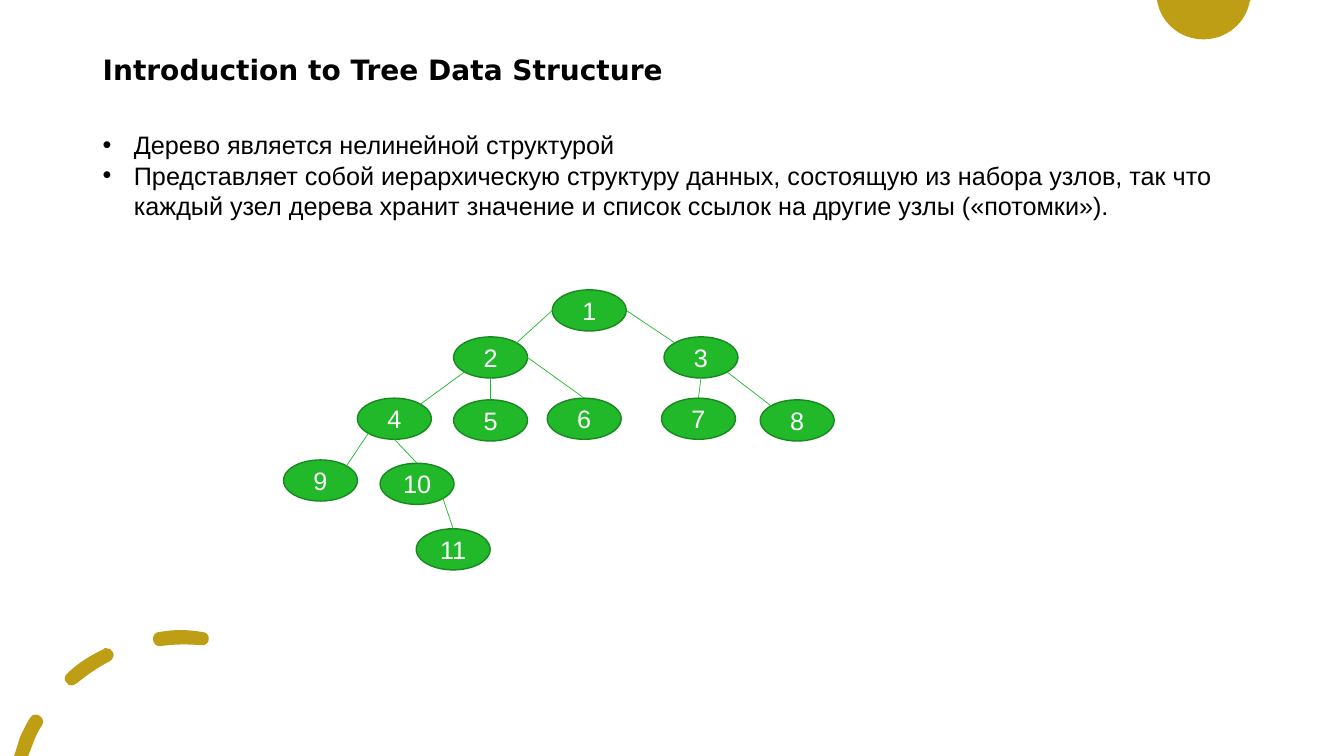
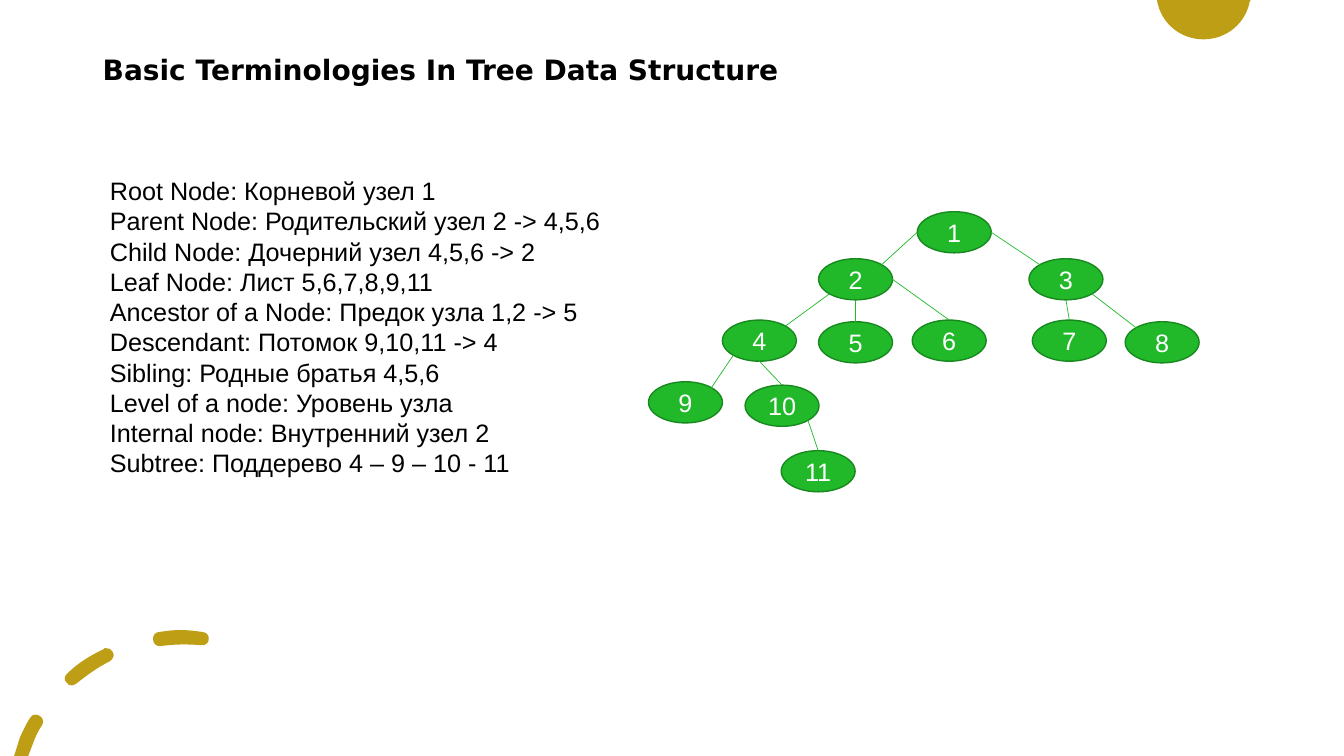
from dataclasses import dataclass

from lxml import etree
from pptx import Presentation, util as u
from pptx.dml.color import RGBColor
from pptx.enum import shapes, text
from pptx.oxml.ns import qn

# Slide grid: square cells, 160 columns by 90 rows
WIDTH, HEIGHT = u.Inches(40 / 3), u.Inches(7.5)
CELL = WIDTH / 160

GOLD, GREEN, DARK_GREEN = "BE9E15", "21B92A", "18891F"
BLACK, WHITE = "000000", "FFFFFF"

TITLE_FONT = {"name": "DejaVu Sans", "size": u.Pt(20), "bold": True}
BODY_FONT = {"name": "Arial", "size": u.Pt(18)}


@dataclass
class Box:
    left: float
    top: float
    width: float
    height: float

    def point(self, across, down):
        """Grid point at the given shares of the box."""
        return self.left + across * self.width, self.top + down * self.height

    def emu(self):
        return [cells(v) for v in (self.left, self.top, self.width, self.height)]


TITLE_BOX = Box(11.04, 4.8, 136.7, 7.3)
CIRCLE_BOX = Box(137.76, 0, 11.16, 4.68)
DASHES_BOX = Box(1.68, 75, 23.28, 15)

# Outlines on a field of width and height: a start, then lines (1 point) and curves (3 points)
CIRCLE_FIELD = (93, 39)
CIRCLE = [
    ((0, 0), [
        [(93, 0)], [(92, 1)],
        [(88, 23), (69, 39), (46, 39)], [(23, 39), (4, 23), (0, 1)]]),
]
DASH_FIELD = (194, 125)
DASHES = [
    ((22, 84), [
        [(20, 83), (17, 85), (16, 87)], [(12, 93), (9, 100), (6, 106)],
        [(0, 125)], [(14, 125)], [(19, 112)],
        [(21, 106), (24, 100), (28, 94)], [(30, 91), (28, 86), (25, 85)],
        [(24, 84), (23, 84), (22, 84)]]),
    ((91, 18), [
        [(90, 18), (89, 18), (89, 19)], [(76, 25), (63, 33), (53, 43)],
        [(50, 45), (49, 50), (52, 52)], [(53, 54), (55, 55), (57, 55)],
        [(57, 55)],
        [(59, 55), (60, 54), (62, 53)], [(72, 45), (83, 37), (95, 31)],
        [(98, 29), (100, 25), (98, 22)], [(97, 19), (94, 18), (91, 18)]]),
    ((165, 0), [
        [(158, 0), (151, 1), (144, 2)], [(140, 2), (137, 6), (138, 10)],
        [(138, 13), (141, 16), (144, 16)], [(145, 16), (145, 16), (145, 16)],
        [(159, 14), (172, 14), (185, 15)], [(189, 16), (193, 13), (193, 10)],
        [(194, 6), (191, 2), (187, 2)], [(187, 2), (187, 2), (187, 2)],
        [(180, 1), (172, 0), (165, 0)]]),
]

# Tree: node offsets in cells, and edges as parent, side, child, side
NODE_SIZE = (8.8, 4.9)
NODES = {
    1: (32, 0), 3: (45.3, 5.6), 2: (20.25, 5.6), 4: (8.8, 12.9),
    5: (20.25, 13.1), 8: (56.75, 13.1), 7: (45, 12.9), 6: (31.4, 12.9),
    9: (0, 20.25), 10: (11.5, 20.65), 11: (15.8, 28.45),
}
EDGES = [
    (2, "NE", 1, "W"), (4, "NE", 2, "SW"), (9, "NE", 4, "SW"),
    (3, "NW", 1, "E"), (8, "NW", 3, "SE"), (7, "N", 3, "S"),
    (5, "N", 2, "S"), (2, "E", 6, "N"), (4, "S", 10, "N"),
    (10, "SE", 11, "N"),
]
NEAR, FAR = 0.15, 0.85
SIDES = {
    "N": (0.5, 0), "S": (0.5, 1), "W": (0, 0.5), "E": (1, 0.5),
    "NW": (NEAR, NEAR), "NE": (FAR, NEAR), "SW": (NEAR, FAR), "SE": (FAR, FAR),
}

INTRO = [
    "Дерево является нелинейной структурой",
    "Представляет собой иерархическую структуру данных, состоящую из набора узлов, "
    "так что каждый узел дерева хранит значение и список ссылок на другие узлы («потомки»).",
]
TERMS = [
    "Root Node: Корневой узел 1",
    "Parent Node: Родительский узел 2 -> 4,5,6",
    "Child Node: Дочерний узел 4,5,6 -> 2",
    "Leaf Node: Лист 5,6,7,8,9,11",
    "Ancestor of a Node: Предок узла 1,2 -> 5",
    "Descendant: Потомок 9,10,11 -> 4",
    "Sibling: Родные братья 4,5,6",
    "Level of a node: Уровень узла",
    "Internal node: Внутренний узел 2",
    "Subtree: Поддерево 4 – 9 – 10 - 11",
]


def cells(count):
    return u.Emu(round(count * CELL))


def rgb(code):
    return RGBColor.from_string(code)


def assign(target, values):
    for name, value in values.items():
        setattr(target, name, value)


def add_bullet(para):
    props = para._p.get_or_add_pPr()
    props.set("marL", str(u.Inches(0.31)))
    props.set("indent", str(-u.Inches(0.31)))
    etree.SubElement(props, qn("a:buFont")).set("typeface", BODY_FONT["name"])
    etree.SubElement(props, qn("a:buChar")).set("char", "•")


def write(frame, lines, font, color, frame_format, para_format=None, bullets=False):
    assign(frame, {"word_wrap": True, **frame_format})
    for index, line in enumerate(lines):
        para = frame.paragraphs[0] if index == 0 else frame.add_paragraph()
        if bullets:
            add_bullet(para)
        assign(para, para_format or {})
        span = para.add_run()
        span.text = line
        assign(span.font, font)
        span.font.color.rgb = rgb(color)


def paint(shape, fill, line=None):
    shape.shadow.inherit = False
    shape.fill.solid()
    shape.fill.fore_color.rgb = rgb(fill)
    if line:
        shape.line.color.rgb = rgb(line)
        shape.line.width = u.Pt(1)
    else:
        shape.line.fill.background()


def bend(shape, segments):
    """Turn each run of three lines that stands for a curve into one."""
    lines = iter(list(shape._element.iter(qn("a:lnTo"))))
    for segment in segments:
        first, *rest = [next(lines) for _ in segment]
        if rest:
            first.tag = qn("a:cubicBezTo")
        for line in rest:
            first.append(line[0])
            line.getparent().remove(line)


def add_outline(page, box, field, contours):
    """One gold shape whose contours are drawn on a field stretched over the box."""
    def place(point):
        x, y = box.point(point[0] / field[0], point[1] / field[1])
        return cells(x), cells(y)

    builder = page.shapes.build_freeform(*place(contours[0][0]))
    for index, (start, segments) in enumerate(contours):
        if index:
            builder.move_to(*place(start))
        builder.add_line_segments([place(point) for part in segments for point in part])
    shape = builder.convert_to_shape()
    bend(shape, [part for _, segments in contours for part in segments])
    paint(shape, GOLD)


def add_text(page, box, lines, bullets=False):
    frame = page.shapes.add_textbox(*box.emu()).text_frame
    write(frame, lines, BODY_FONT, BLACK,
          {"auto_size": text.MSO_AUTO_SIZE.SHAPE_TO_FIT_TEXT}, bullets=bullets)


def add_title(page, box, title):
    frame = page.shapes.add_textbox(*box.emu()).text_frame
    write(frame, [title], TITLE_FONT, BLACK,
          {"vertical_anchor": text.MSO_ANCHOR.MIDDLE}, {"line_spacing": 0.9})


def add_tree(page, left, top, moved=None):
    places = {**NODES, **(moved or {})}
    boxes = {node: Box(left + x, top + y, *NODE_SIZE) for node, (x, y) in places.items()}
    # Nodes
    for node, box in boxes.items():
        oval = page.shapes.add_shape(shapes.MSO_SHAPE.OVAL, *box.emu())
        paint(oval, GREEN, DARK_GREEN)
        margins = {f"margin_{side}": 0 for side in ("left", "right", "top", "bottom")}
        write(oval.text_frame, [str(node)], BODY_FONT, WHITE,
              {"vertical_anchor": text.MSO_ANCHOR.MIDDLE, **margins},
              {"alignment": text.PP_ALIGN.CENTER})
    # Edges
    for first, first_side, second, second_side in EDGES:
        ends = (*boxes[first].point(*SIDES[first_side]),
                *boxes[second].point(*SIDES[second_side]))
        edge = page.shapes.add_connector(shapes.MSO_CONNECTOR.STRAIGHT, *map(cells, ends))
        edge.line.color.rgb = rgb(GREEN)
        edge.line.width = u.Pt(0.5)
        etree.SubElement(edge._element.spPr, qn("a:effectLst"))


def add_page(deck, title):
    """Blank page with the shared decoration and title."""
    page = deck.slides.add_slide(deck.slide_layouts[6])
    add_outline(page, CIRCLE_BOX, CIRCLE_FIELD, CIRCLE)
    add_outline(page, DASHES_BOX, DASH_FIELD, DASHES)
    add_title(page, TITLE_BOX, title)
    return page


def main():
    deck = Presentation()
    assign(deck, {"slide_width": WIDTH, "slide_height": HEIGHT})

    # Introduction
    page = add_page(deck, "Introduction to Tree Data Structure")
    add_text(page, Box(11.04, 14.85, 136.7, 12.1), INTRO, bullets=True)
    add_tree(page, 33.75, 34.5)

    # Terminology
    page = add_page(deck, "Basic Terminologies In Tree Data Structure")
    add_text(page, Box(11.9, 20.3, 63.1, 37.6), TERMS)
    add_tree(page, 77.2, 25.2, moved={7: (45.7, 12.9)})

    deck.save("out.pptx")


if __name__ == "__main__":
    main()
